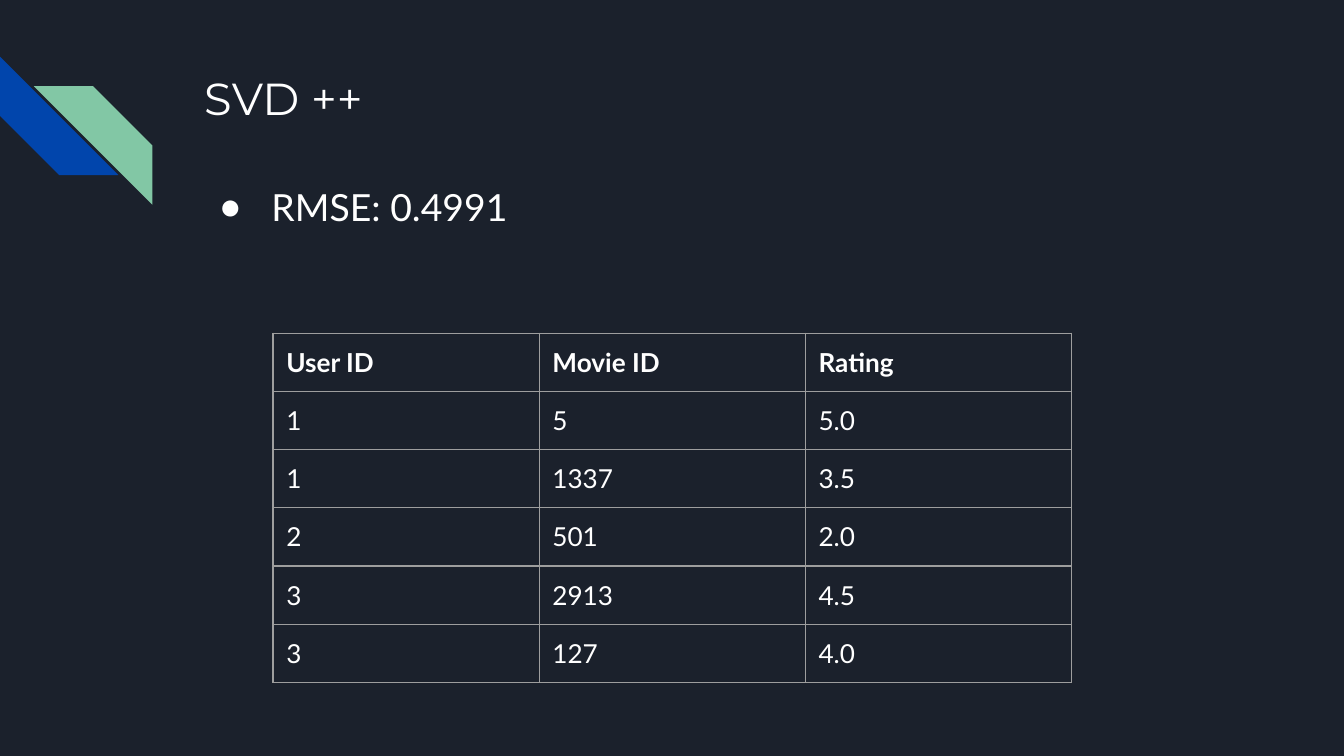
from dataclasses import dataclass

from lxml.etree import SubElement
from pptx import Presentation
from pptx.dml.color import RGBColor
from pptx.enum.shapes import MSO_SHAPE
from pptx.enum.text import MSO_ANCHOR, MSO_AUTO_SIZE, PP_ALIGN
from pptx.oxml import parse_xml
from pptx.oxml.ns import nsdecls, qn
from pptx.util import Cm, Pt


@dataclass(frozen=True)
class Theme:
    background: str = "1B212C"
    text: str = "FFFFFF"
    blue: str = "0145AC"
    green: str = "82C7A5"
    border: str = "9E9E9E"
    heading_font: str = "Montserrat"
    body_font: str = "Lato"
    title_size: int = 24
    body_size: int = 20
    table_size: int = 14
    border_width: float = 0.75


THEME = Theme()
INSET = Cm(0.25)
RATINGS = [
    ("User ID", "Movie ID", "Rating"),
    ("1", "5", "5.0"),
    ("1", "1337", "3.5"),
    ("2", "501", "2.0"),
    ("3", "2913", "4.5"),
    ("3", "127", "4.0"),
]


def style_para(para, font_name, size, bold=False):
    para.alignment = PP_ALIGN.LEFT
    para.space_before = Pt(0)
    font = para.font
    font.name, font.size, font.bold = font_name, Pt(size), bold
    font.color.rgb = RGBColor.from_string(THEME.text)


def fill_placeholder(holder, box, text):
    """Place a template placeholder in its box and return its paragraph."""
    holder.left, holder.top, holder.width, holder.height = box
    frame = holder.text_frame
    frame.text = text
    frame.word_wrap = True
    frame.auto_size = MSO_AUTO_SIZE.NONE
    frame.vertical_anchor = MSO_ANCHOR.TOP
    frame.margin_left = frame.margin_right = INSET
    frame.margin_top = frame.margin_bottom = INSET
    return frame.paragraphs[0]


def add_stripes(page, box):
    """Two diagonal stripes, in opposite corners of the box."""
    left, top, width, height = box
    side = Cm(2.24)
    stripes = [
        (left, top, 270, THEME.blue),
        (left + width - side, top + height - side, 90, THEME.green),
    ]
    for x, y, rotation, color in stripes:
        stripe = page.shapes.add_shape(MSO_SHAPE.DIAGONAL_STRIPE, x, y, side, side)
        stripe.rotation = rotation
        stripe.shadow.inherit = False
        stripe.fill.solid()
        stripe.fill.fore_color.rgb = RGBColor.from_string(color)
        stripe.line.fill.background()


def add_title(page, box, text):
    para = fill_placeholder(page.shapes.title, box, text)
    style_para(para, THEME.heading_font, THEME.title_size)


def add_bullet(page, box, text):
    para = fill_placeholder(page.placeholders[1], box, text)
    style_para(para, THEME.body_font, THEME.body_size)
    para.line_spacing = 1.15
    # Bullet and hanging indent; the bullet goes before the default font
    props = para._p.get_or_add_pPr()
    props.set("marL", str(Cm(1.27)))
    props.set("indent", str(-Cm(0.99)))
    default_font = props.find(qn("a:defRPr"))
    default_font.addprevious(parse_xml(
        f'<a:buClr {nsdecls("a")}><a:srgbClr val="{THEME.text}"/></a:buClr>'))
    default_font.addprevious(parse_xml(f'<a:buChar {nsdecls("a")} char="●"/>'))


def draw_borders(cell):
    props = cell._tc.get_or_add_tcPr()
    for position, side in enumerate(("lnL", "lnR", "lnT", "lnB")):
        line = SubElement(props, qn(f"a:{side}"), w=str(Pt(THEME.border_width)))
        fill = SubElement(line, qn("a:solidFill"))
        SubElement(fill, qn("a:srgbClr"), val=THEME.border)
        props.insert(position, line)


def add_ratings_table(page, box, rows):
    table = page.shapes.add_table(len(rows), len(rows[0]), *box).table
    table.first_row = table.horz_banding = False
    for row_index, values in enumerate(rows):
        for column_index, value in enumerate(values):
            cell = table.cell(row_index, column_index)
            cell.text = value
            cell.margin_left = cell.margin_right = INSET
            cell.margin_top = cell.margin_bottom = INSET
            cell.fill.background()
            draw_borders(cell)
            style_para(cell.text_frame.paragraphs[0], THEME.body_font,
                       THEME.table_size, bold=row_index == 0)


def main():
    deck = Presentation()
    deck.slide_width, deck.slide_height = Cm(25.4), Cm(14.29)
    page = deck.slides.add_slide(deck.slide_layouts[1])
    page.background.fill.solid()
    page.background.fill.fore_color.rgb = RGBColor.from_string(THEME.background)

    add_stripes(page, (Cm(0), Cm(1.07), Cm(2.88), Cm(2.8)))
    add_title(page, (Cm(3.61), Cm(1.09), Cm(19.56), Cm(2.54)), "SVD ++")
    add_bullet(page, (Cm(3.61), Cm(3.1), Cm(9.45), Cm(8.08)), "RMSE: 0.4991")
    add_ratings_table(page, (Cm(5.16), Cm(6.3), Cm(15.09), Cm(6.6)), RATINGS)
    deck.save("out.pptx")


if __name__ == "__main__":
    main()
